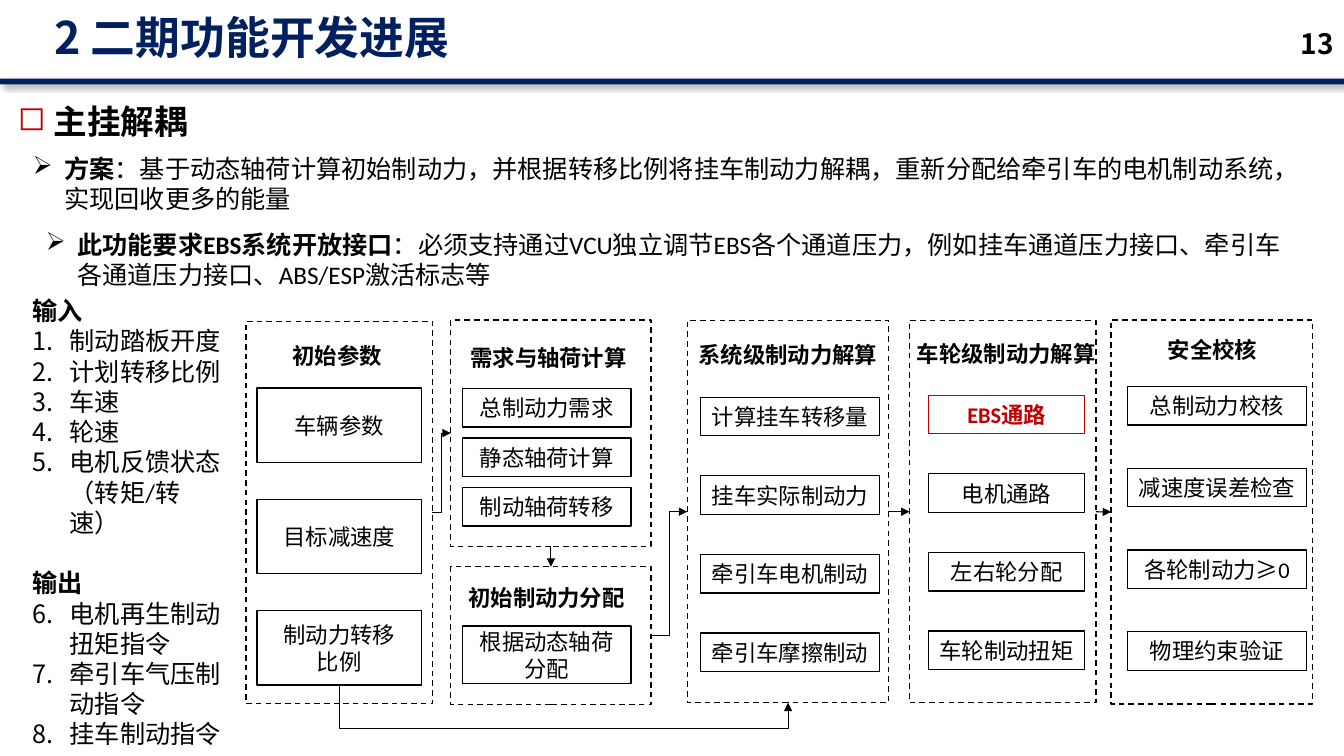
from dataclasses import dataclass

from lxml import etree
from pptx import Presentation
from pptx import util as u
from pptx.dml.color import RGBColor
from pptx.enum import dml, shapes, text
from pptx.oxml import ns


@dataclass(frozen=True)
class Theme:
    navy: RGBColor = RGBColor(0x00, 0x20, 0x60)
    red: RGBColor = RGBColor(0xC0, 0x00, 0x00)
    black: RGBColor = RGBColor(0x00, 0x00, 0x00)
    latin: str = "Calibri"
    cjk: str = "Noto Sans CJK SC"
    title: int = 32
    topic: int = 24
    page: int = 20
    body: int = 18
    step: int = 16


THEME = Theme()
TOP, LEFT, BOTTOM, RIGHT = 0, 1, 2, 3  # connection sites of a rectangle

# heading, box, (heading shift, heading middle), step grid, steps
# The step grid is left, top, width, height, pitch, relative to the box.
PANELS = {
    "初始参数": ((6.2, 8.1, 4.7, 9.63), (-0.05, 0.86), (0.28, 1.68, 4.14, 1.88, 2.8),
             ["车辆参数", "目标减速度", "制动力转移\n比例"]),
    "需求与轴荷计算": ((11.36, 8.06, 5.05, 5.71), (-0.06, 0.94), (0.3, 1.73, 4.24, 0.97, 1.25),
                ["总制动力需求", "静态轴荷计算", "制动轴荷转移"]),
    "初始制动力分配": ((11.36, 14.28, 5.05, 3.48), (-0.11, 0.79), (0.3, 1.5, 4.24, 1.45, 0),
                ["根据动态轴荷分配"]),
    "系统级制动力解算": ((17.32, 8.08, 5.08, 9.63), (0, 0.86), (0.33, 1.93, 4.52, 0.97, 1.98),
                 ["计算挂车转移量", "挂车实际制动力", "牵引车电机制动", "牵引车摩擦制动"]),
    "车轮级制动力解算": ((22.92, 8.08, 4.7, 9.63), (0.09, 0.84), (0.48, 1.88, 3.94, 0.97, 1.98),
                 ["EBS通路", "电机通路", "左右轮分配", "车轮制动扭矩"]),
    "安全校核": ((28, 8.06, 5.08, 9.68), (0.02, 0.74), (0.41, 1.68, 4.52, 0.97, 2.06),
             ["总制动力校核", "减速度误差检查", "各轮制动力≥0", "物理约束验证"]),
}
HIGHLIGHTED = "EBS通路"


def cm(box):
    return [u.Cm(length) for length in box]


def add_xml(parent, tag, **attributes):
    return etree.SubElement(parent, ns.qn(tag), {k: str(v) for k, v in attributes.items()})


def write(frame, *runs, first=True, size=THEME.body, bold=False, color=THEME.black,
          latin=THEME.latin, align=text.PP_ALIGN.LEFT, anchor=text.MSO_ANCHOR.TOP,
          spacing=None, before=0, hang=0, bullet=None, bullet_color=None, number_from=None):
    """Write one paragraph; a run is a string or a (string, bold) pair."""
    frame.word_wrap = True
    frame.vertical_anchor = anchor
    paragraph = frame.paragraphs[0] if first else frame.add_paragraph()
    paragraph.alignment = align
    if spacing:
        paragraph.line_spacing = spacing
    if before:
        paragraph.space_before = u.Pt(before)
    properties = paragraph._p.get_or_add_pPr()
    if hang:
        properties.set("marL", str(u.Cm(hang)))
        properties.set("indent", str(-u.Cm(hang)))
    if bullet_color is not None:
        add_xml(add_xml(properties, "a:buClr"), "a:srgbClr", val=bullet_color)
    if bullet:
        add_xml(properties, "a:buChar", char=bullet)
    if number_from:
        add_xml(properties, "a:buAutoNum", type="arabicPeriod", startAt=number_from)
    for item in runs:
        words, strong = (item, bold) if isinstance(item, str) else item
        for index, line in enumerate(words.split("\n")):
            if index:
                paragraph.add_line_break()
            run = paragraph.add_run()
            run.text = line
            run.font.size, run.font.bold, run.font.name = u.Pt(size), strong, latin
            run.font.color.rgb = color
            add_xml(run._r.get_or_add_rPr(), "a:ea", typeface=THEME.cjk)


def add_text(slide, box, *runs, **form):
    frame = slide.shapes.add_textbox(*cm(box)).text_frame
    write(frame, *runs, **form)
    return frame


def add_outline(slide, box, color=THEME.black, dashed=False):
    outline = slide.shapes.add_shape(shapes.MSO_SHAPE.RECTANGLE, *cm(box))
    outline.shadow.inherit = False
    outline.fill.background()
    outline.line.color.rgb = color
    outline.line.width = u.Pt(1)
    if dashed:
        outline.line.dash_style = dml.MSO_LINE.DASH
    return outline


def add_header(slide, box):
    left, top, width, height = box
    bar = slide.shapes.add_shape(shapes.MSO_SHAPE.RECTANGLE,
                                 *cm((left, top + height - 0.15, width, 0.15)))
    bar.fill.solid()
    bar.fill.fore_color.rgb = THEME.navy
    bar.line.fill.background()
    bar.shadow.inherit = False
    effects = bar._element.spPr.find(ns.qn("a:effectLst"))
    shadow = add_xml(effects, "a:outerShdw", blurRad=u.Pt(4), dist=u.Pt(3), dir=45 * 60000,
                     algn="tl", rotWithShape=0)
    add_xml(add_xml(shadow, "a:srgbClr", val=THEME.black), "a:alpha", val=40000)
    middle = text.MSO_ANCHOR.MIDDLE
    add_text(slide, (left + 1.12, top + 0.25, 26.6, 1.5), "2 二期功能开发进展", size=THEME.title,
             bold=True, color=THEME.navy, latin=THEME.cjk, anchor=middle, spacing=0.9)
    add_text(slide, (left + width - 1.96, top + 0.58, 1.96, 1.02), "13", size=THEME.page,
             bold=True, latin=THEME.cjk, anchor=middle, align=text.PP_ALIGN.RIGHT)


def add_summary(slide, box):
    left, top, width, _ = box
    add_text(slide, (left, top, 13.7, 1.47), "主挂解耦", size=THEME.topic, bold=True,
             spacing=1.3, hang=0.9, bullet="◻", bullet_color=THEME.red)
    points = [
        (0.38, 1.63, "方案", "：基于动态轴荷计算初始制动力，并根据转移比例将挂车制动力解耦，"
                           "重新分配给牵引车的电机制动系统，实现回收更多的能量"),
        (0.71, 3.55, "此功能要求EBS系统开放接口",
         "：必须支持通过VCU独立调节EBS各个通道压力，例如挂车通道压力接口、"
         "牵引车各通道压力接口、ABS/ESP激活标志等"),
    ]
    for shift, drop, lead, detail in points:
        add_text(slide, (left + shift, top + drop, width, 1.8), (lead, True), detail,
                 hang=0.79, bullet="➢")


def add_signals(slide, box):
    """List the inputs and outputs, numbered through."""
    inputs = ["制动踏板开度", "计划转移比例", "车速", "轮速", "电机反馈状态（转矩/转速）"]
    outputs = ["电机再生制动扭矩指令", "牵引车气压制动指令", "挂车制动指令"]
    frame = add_text(slide, box, "输入", bold=True)
    for signal in inputs:
        write(frame, signal, first=False, hang=0.95, number_from=1)
    write(frame, "输出", first=False, bold=True, before=21.6)
    for signal in outputs:
        write(frame, signal, first=False, hang=0.95, number_from=len(inputs) + 1)


def add_panel(slide, box, heading, heading_place, grid, steps):
    left, top, width, _ = box
    shift, middle = heading_place
    step_left, step_top, step_width, step_height, pitch = grid
    centred = dict(size=THEME.step, align=text.PP_ALIGN.CENTER, anchor=text.MSO_ANCHOR.MIDDLE)
    panel = add_outline(slide, box, dashed=True)
    add_text(slide, (left + shift - 0.4, top + middle - 0.6, width + 0.8, 1.2), heading,
             bold=True, **centred)
    step_boxes = []
    for row, step in enumerate(steps):
        marked = step == HIGHLIGHTED
        color = THEME.red if marked else THEME.black
        step_box = add_outline(slide, (left + step_left, top + step_top + row * pitch,
                                       step_width, step_height), color)
        write(step_box.text_frame, step, bold=marked, color=color, **centred)
        step_boxes.append(step_box)
    return panel, step_boxes


def add_arrow(slide, source, source_side, target, target_side, bent=False):
    kind = shapes.MSO_CONNECTOR.ELBOW if bent else shapes.MSO_CONNECTOR.STRAIGHT
    arrow = slide.shapes.add_connector(kind, 0, 0, 0, 0)
    arrow.begin_connect(source, source_side)
    arrow.end_connect(target, target_side)
    arrow.line.color.rgb = THEME.black
    arrow.line.width = u.Pt(0.75)
    add_xml(arrow.line._get_or_add_ln(), "a:tailEnd", type="triangle")
    add_xml(arrow._element.spPr, "a:effectLst")
    return arrow


def loop_below(arrow, depth):
    """Route an elbow arrow down by depth, across, and up to its end."""
    start_x, start_y, end_x, end_y = arrow.begin_x, arrow.begin_y, arrow.end_x, arrow.end_y
    across, down = end_x - start_x, end_y - start_y
    arrow.left, arrow.top = (start_x + end_x - down) // 2, (start_y + end_y - across) // 2
    arrow.width, arrow.height = down, across
    properties = arrow._element.spPr
    frame = properties.find(ns.qn("a:xfrm"))
    frame.attrib.pop("flipV", None)
    frame.set("rot", str(270 * 60000))
    frame.set("flipH", "1")
    guides = properties.find(ns.qn("a:prstGeom")).get_or_add_avLst()
    add_xml(guides, "a:gd", name="adj1", fmla=f"val {round(depth / down * 100000)}")


def add_flow(slide):
    built = [add_panel(slide, box, heading, place, grid, steps)
             for heading, (box, place, grid, steps) in PANELS.items()]
    initial, demand, allocation, system, wheel, safety = [panel for panel, _ in built]
    add_arrow(slide, initial, RIGHT, demand, LEFT, bent=True)
    add_arrow(slide, demand, BOTTOM, allocation, TOP)
    add_arrow(slide, allocation, RIGHT, system, LEFT, bent=True)
    add_arrow(slide, system, RIGHT, wheel, LEFT)
    add_arrow(slide, wheel, RIGHT, safety, LEFT)
    transfer_ratio = built[0][1][-1]
    loop_below(add_arrow(slide, transfer_ratio, BOTTOM, system, BOTTOM, bent=True), u.Cm(1.1))


def main():
    deck = Presentation()
    deck.slide_width, deck.slide_height = u.Cm(33.87), u.Cm(19.05)
    slide = deck.slides.add_slide(deck.slide_layouts[6])
    add_header(slide, (0, 0, 33.87, 2.13))
    add_summary(slide, (0.2, 2.11, 31.98, 5.35))
    add_signals(slide, (0.56, 7.32, 5.3, 11.02))
    add_flow(slide)
    deck.save("out.pptx")


if __name__ == "__main__":
    main()
